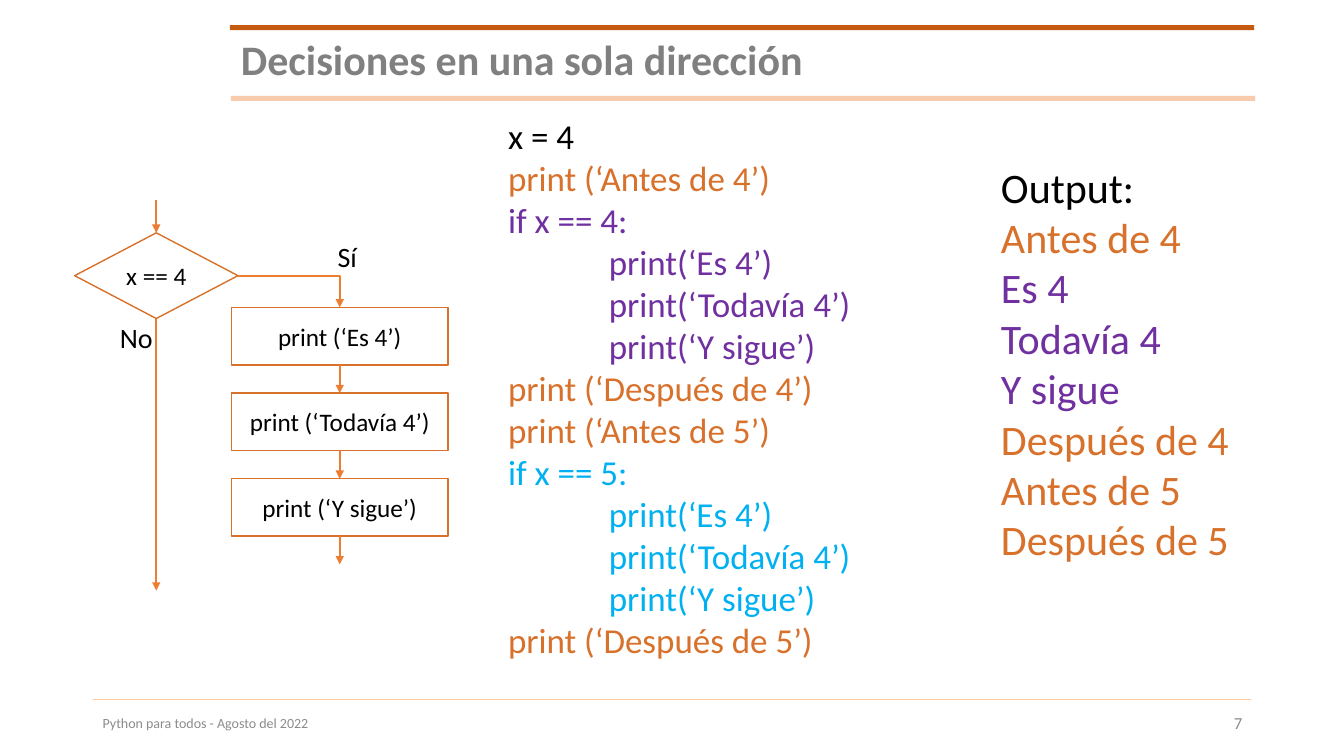
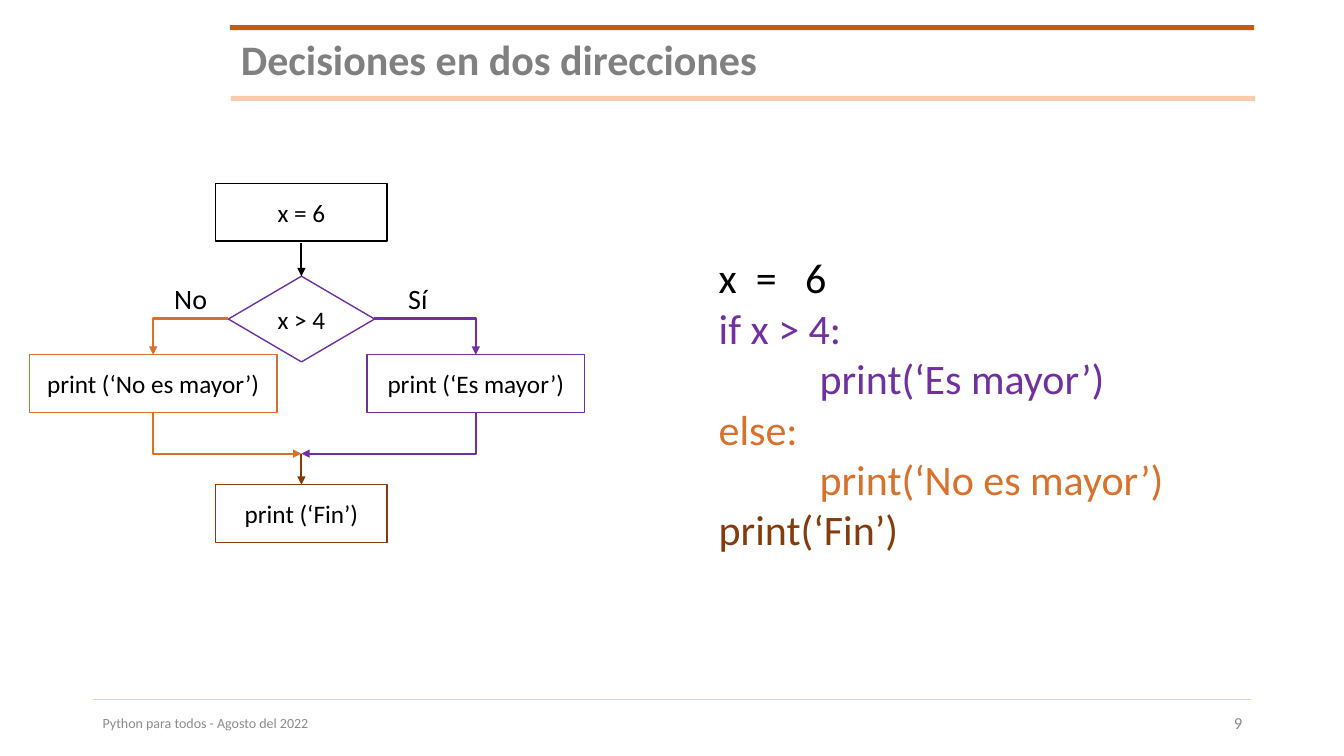
from lxml import etree
from pptx import Presentation
from pptx.dml.color import RGBColor
from pptx.enum.shapes import MSO_CONNECTOR, MSO_SHAPE
from pptx.enum.text import MSO_ANCHOR, PP_ALIGN
from pptx.oxml.ns import qn
from pptx.util import Inches, Pt

RECT = MSO_SHAPE.RECTANGLE
DIAMOND = MSO_SHAPE.FLOWCHART_DECISION
STRAIGHT, ELBOW = MSO_CONNECTOR.STRAIGHT, MSO_CONNECTOR.ELBOW
TOP, MIDDLE = MSO_ANCHOR.TOP, MSO_ANCHOR.MIDDLE
LEFT, CENTER, RIGHT = PP_ALIGN.LEFT, PP_ALIGN.CENTER, PP_ALIGN.RIGHT

BLACK = RGBColor(0x00, 0x00, 0x00)
WHITE = RGBColor(0xFF, 0xFF, 0xFF)
TITLE = RGBColor(0x80, 0x80, 0x80)
FOOT = RGBColor(0x8C, 0x8C, 0x8C)
RUST = RGBColor(0xC5, 0x5A, 0x11)
PEACH = RGBColor(0xF8, 0xCB, 0xAD)
SAND = RGBColor(0xFF, 0xCC, 0x99)
ORANGE = RGBColor(0xD7, 0x71, 0x2B)
BRIGHT = RGBColor(0xED, 0x7D, 0x31)
PURPLE = RGBColor(0x70, 0x30, 0xA0)
BLUE = RGBColor(0x00, 0xB0, 0xF0)
BROWN = RGBColor(0x84, 0x3C, 0x0C)

FONT = "Calibri"
BOX_H = 0.57
RHOMB_H = 0.85
ACROSS, DOWN = 100000, 0


def write(par, text, size, color, bold=False):
    """Add one styled run to a paragraph."""
    run = par.add_run()
    run.text = text
    font = run.font
    font.name, font.size, font.bold = FONT, Pt(size), bold
    font.color.rgb = color


def frame_text(slide, at, anchor=TOP):
    """Add a wrapping text box and return its frame."""
    frame = slide.shapes.add_textbox(*map(Inches, at)).text_frame
    frame.word_wrap = True
    frame.vertical_anchor = anchor
    return frame


def label(slide, at, text, size, color=BLACK, anchor=TOP, align=LEFT, bold=False):
    """Add a text box of one line and return its paragraph."""
    par = frame_text(slide, at, anchor).paragraphs[0]
    par.alignment = align
    write(par, text, size, color, bold)
    return par


def listing(slide, at, size, groups):
    """Add lines in coloured groups; a leading tab indents by one inch."""
    frame = frame_text(slide, at)
    lines = [(text, color) for color, texts in groups for text in texts]
    for num, (text, color) in enumerate(lines):
        par = frame.add_paragraph() if num else frame.paragraphs[0]
        if text.startswith("\t"):
            par._p.get_or_add_pPr().set("marL", str(Inches(1)))
        write(par, text.lstrip("\t"), size, color)


def block(slide, kind, at, fill, line=None):
    """Add a flat preset shape."""
    shape = slide.shapes.add_shape(kind, *map(Inches, at))
    shape.shadow.inherit = False
    shape.fill.solid()
    shape.fill.fore_color.rgb = fill
    if line is None:
        shape.line.fill.background()
    else:
        shape.line.color.rgb = line
        shape.line.width = Pt(1)
    return shape


def node(slide, kind, mid, top, width, text, color):
    """Add a flowchart node centred on mid."""
    high = RHOMB_H if kind == DIAMOND else BOX_H
    shape = block(slide, kind, (mid - width / 2, top, width, high), WHITE, color)
    frame = shape.text_frame
    frame.margin_left = frame.margin_right = 0
    frame.vertical_anchor = MIDDLE
    par = frame.paragraphs[0]
    par.alignment = CENTER
    write(par, text, 18, BLACK)


def link(slide, start, end, color, width=1.5, kind=STRAIGHT):
    """Add a line without shadow."""
    line = slide.shapes.add_connector(kind, *map(Inches, start + end))
    line.line.color.rgb = color
    line.line.width = Pt(width)
    etree.SubElement(line._element.spPr, qn("a:effectLst"))
    return line


def arrow(slide, start, end, color, bend=None):
    """Add an arrow, straight or bent at one corner."""
    kind = STRAIGHT if bend is None else ELBOW
    line = link(slide, start, end, color, kind=kind)
    etree.SubElement(line.line._get_or_add_ln(), qn("a:tailEnd"), type="triangle")
    if bend is not None:
        geom = line._element.spPr.find(qn("a:prstGeom"))
        guides = geom.find(qn("a:avLst"))
        if guides is None:
            guides = etree.SubElement(geom, qn("a:avLst"))
        etree.SubElement(guides, qn("a:gd"), name="adj1", fmla=f"val {bend}")


def start_slide(deck, title, number):
    """Add a slide with title, bands and footer."""
    slide = deck.slides.add_slide(deck.slide_layouts[6])
    link(slide, (0.92, 6.94), (12.41, 6.94), SAND, 0.5)
    block(slide, RECT, (2.28, 0.25, 10.16, 0.05), RUST)
    block(slide, RECT, (2.29, 0.95, 10.16, 0.05), PEACH)
    par = label(slide, (2.29, 0.33, 10.12, 0.57), title, 30, TITLE, MIDDLE, bold=True)
    par.line_spacing = 0.9
    label(slide, (0.92, 6.98, 8.5, 0.39), "Python para todos - Agosto del 2022",
          10, FOOT, MIDDLE)
    label(slide, (9.42, 6.98, 3, 0.39), number, 12, FOOT, MIDDLE, RIGHT)
    return slide


def one_way(deck):
    """Build the slide on one-way decisions."""
    slide = start_slide(deck, "Decisiones en una sola dirección", "7")
    inner = ["\tprint(‘Es 4’)", "\tprint(‘Todavía 4’)", "\tprint(‘Y sigue’)"]
    listing(slide, (4.94, 1.09, 5.09, 5.57), 25, [
        (BLACK, ["x = 4"]),
        (ORANGE, ["print (‘Antes de 4’)"]),
        (PURPLE, ["if x == 4:"] + inner),
        (ORANGE, ["print (‘Después de 4’)", "print (‘Antes de 5’)"]),
        (BLUE, ["if x == 5:"] + inner),
        (ORANGE, ["print (‘Después de 5’)"]),
    ])
    listing(slide, (9.83, 1.55, 3, 4.14), 30, [
        (BLACK, ["Output:"]),
        (ORANGE, ["Antes de 4"]),
        (PURPLE, ["Es 4", "Todavía 4", "Y sigue"]),
        (ORANGE, ["Después de 4", "Antes de 5", "Después de 5"]),
    ])
    test, yes, first, step = 1.55, 3.37, 3.05, 0.85
    node(slide, DIAMOND, test, 2.31, 1.62, "x == 4", ORANGE)
    arrow(slide, (test, 1.98), (test, 2.31), BRIGHT)
    arrow(slide, (test, 3.16), (test, 5.86), BRIGHT)
    arrow(slide, (2.36, 2.74), (yes, first), BRIGHT, ACROSS)
    for num, text in enumerate(["Es 4", "Todavía 4", "Y sigue"]):
        top = first + num * step
        node(slide, RECT, yes, top, 2.15, f"print (‘{text}’)", ORANGE)
        arrow(slide, (yes, top + BOX_H), (yes, top + step), BRIGHT)
    label(slide, (3.25, 2.33, 0.6, 0.44), "Sí", 20)
    label(slide, (1.09, 3.13, 0.6, 0.44), "No", 20)


def two_way(deck):
    """Build the slide on two-way decisions."""
    slide = start_slide(deck, "Decisiones en dos direcciones", "9")
    listing(slide, (7.03, 2.45, 6.3, 3.13), 30, [
        (BLACK, ["x  =   6"]),
        (PURPLE, ["if x > 4:", "\tprint(‘Es mayor’)"]),
        (ORANGE, ["else:", "\tprint(‘No es mayor’)"]),
        (BROWN, ["print(‘Fin’)"]),
    ])
    mid, side, top, join = 2.99, 3.16, 3.52, 4.5
    node(slide, RECT, mid, 1.82, 1.7, "x = 6", BLACK)
    node(slide, DIAMOND, mid, 2.74, 1.45, "x > 4", PURPLE)
    node(slide, RECT, mid, 4.81, 1.7, "print (‘Fin’)", BROWN)
    arrow(slide, (mid, 2.41), (mid, 2.74), BLACK)
    for edge, col, width, text, color in [
        (2.26, 1.52, 2.46, "No es mayor", ORANGE),
        (3.71, 4.72, 2.16, "Es mayor", PURPLE),
    ]:
        node(slide, RECT, col, top, width, f"print (‘{text}’)", color)
        arrow(slide, (edge, side), (col, top), color, ACROSS)
        arrow(slide, (col, top + BOX_H), (mid, join), color, DOWN)
    arrow(slide, (mid, join), (mid, 4.81), BROWN)
    label(slide, (1.63, 2.74, 0.6, 0.44), "No", 20)
    label(slide, (3.95, 2.74, 0.6, 0.44), "Sí", 20)


def main():
    """Build and save the deck."""
    deck = Presentation()
    deck.slide_width, deck.slide_height = Inches(13.33), Inches(7.5)
    one_way(deck)
    two_way(deck)
    deck.save("out.pptx")


main()
